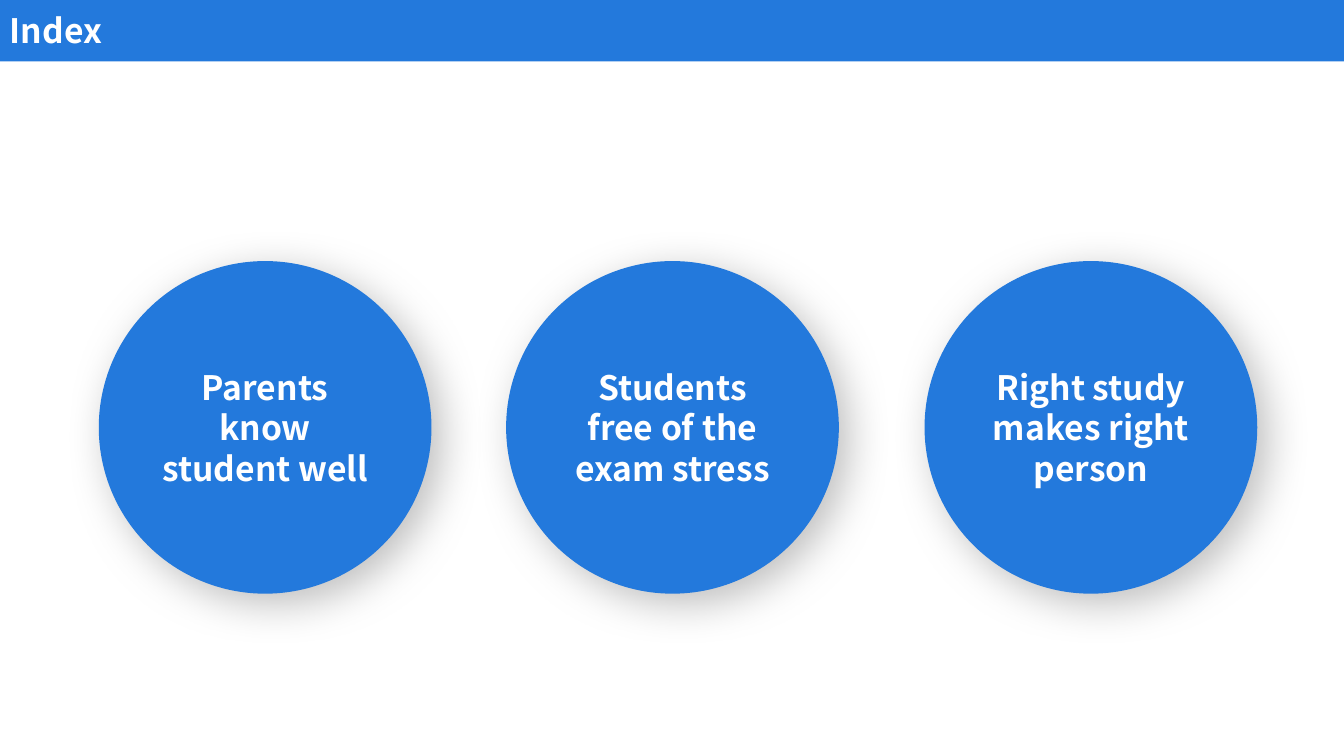
from pptx import Presentation
from pptx.dml.color import RGBColor
from pptx.enum import shapes, text
from pptx.oxml import parse_xml
from pptx.oxml.ns import nsdecls
from pptx.util import Inches, Pt

TITLE = "Index"
TOPICS = [
    # left edge in inches, label
    (0.98, "Parents know student well"),
    (5.02, "Students free of the exam stress"),
    (9.17, "Right study makes right person"),
]
THEME = {
    "blue": RGBColor.from_string("2379DC"),
    "white": RGBColor.from_string("FFFFFF"),
    "shade": "BFBFBF",
    "font": "Noto Sans CJK KR",
    "size": Pt(24),
}
WIDTH, HEIGHT = 13.33, 7.5
BAR = 0.61
DISC, TOP = 3.3, 2.59


def style(para):
    for run in para.runs:
        font = run.font
        font.name = THEME["font"]
        font.size = THEME["size"]
        font.bold = True
        font.color.rgb = THEME["white"]


def block(slide, kind, left, top, width, height):
    """Add a blue shape with no line and no shadow."""
    shape = slide.shapes.add_shape(
        kind, Inches(left), Inches(top), Inches(width), Inches(height))
    shape.shadow.inherit = False
    shape.fill.solid()
    shape.fill.fore_color.rgb = THEME["blue"]
    shape.line.fill.background()
    return shape


def shade(shape, blur=30, dist=10, angle=45):
    """Give the shape a soft outer shadow; blur and dist in points."""
    effects = shape._element.spPr.find(
        "{http://schemas.openxmlformats.org/drawingml/2006/main}effectLst")
    effects.append(parse_xml(
        f'<a:outerShdw {nsdecls("a")} blurRad="{Pt(blur)}" dist="{Pt(dist)}" '
        f'dir="{angle * 60000}" algn="tl" rotWithShape="0">'
        f'<a:srgbClr val="{THEME["shade"]}"/></a:outerShdw>'))


def header(slide):
    block(slide, shapes.MSO_SHAPE.RECTANGLE, 0, 0, WIDTH, BAR)
    box = slide.shapes.add_textbox(
        Inches(0), Inches(0.09), Inches(WIDTH), Inches(0.45))
    frame = box.text_frame
    frame.word_wrap = True
    frame.text = TITLE
    para = frame.paragraphs[0]
    para.line_spacing = 0.9
    para.space_before = Pt(10)
    style(para)


def topic(slide, left, label):
    disc = block(slide, shapes.MSO_SHAPE.OVAL, left, TOP, DISC, DISC)
    shade(disc)
    frame = disc.text_frame
    frame.word_wrap = True
    frame.vertical_anchor = text.MSO_ANCHOR.MIDDLE
    frame.text = label
    para = frame.paragraphs[0]
    para.alignment = text.PP_ALIGN.CENTER
    style(para)


def main():
    deck = Presentation()
    deck.slide_width, deck.slide_height = Inches(WIDTH), Inches(HEIGHT)
    slide = deck.slides.add_slide(deck.slide_layouts[6])
    header(slide)
    for left, label in TOPICS:
        topic(slide, left, label)
    deck.save("out.pptx")


if __name__ == "__main__":
    main()
